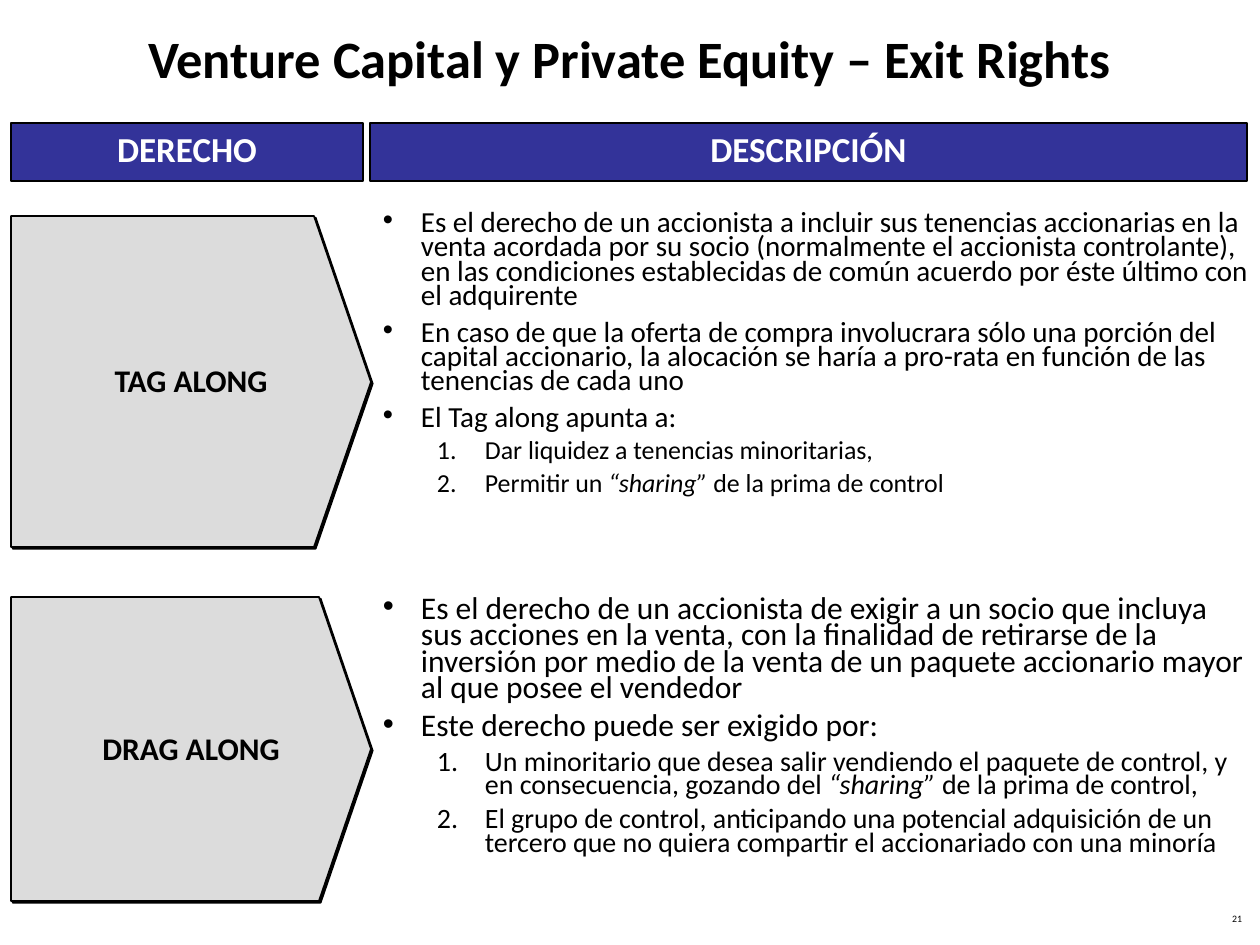
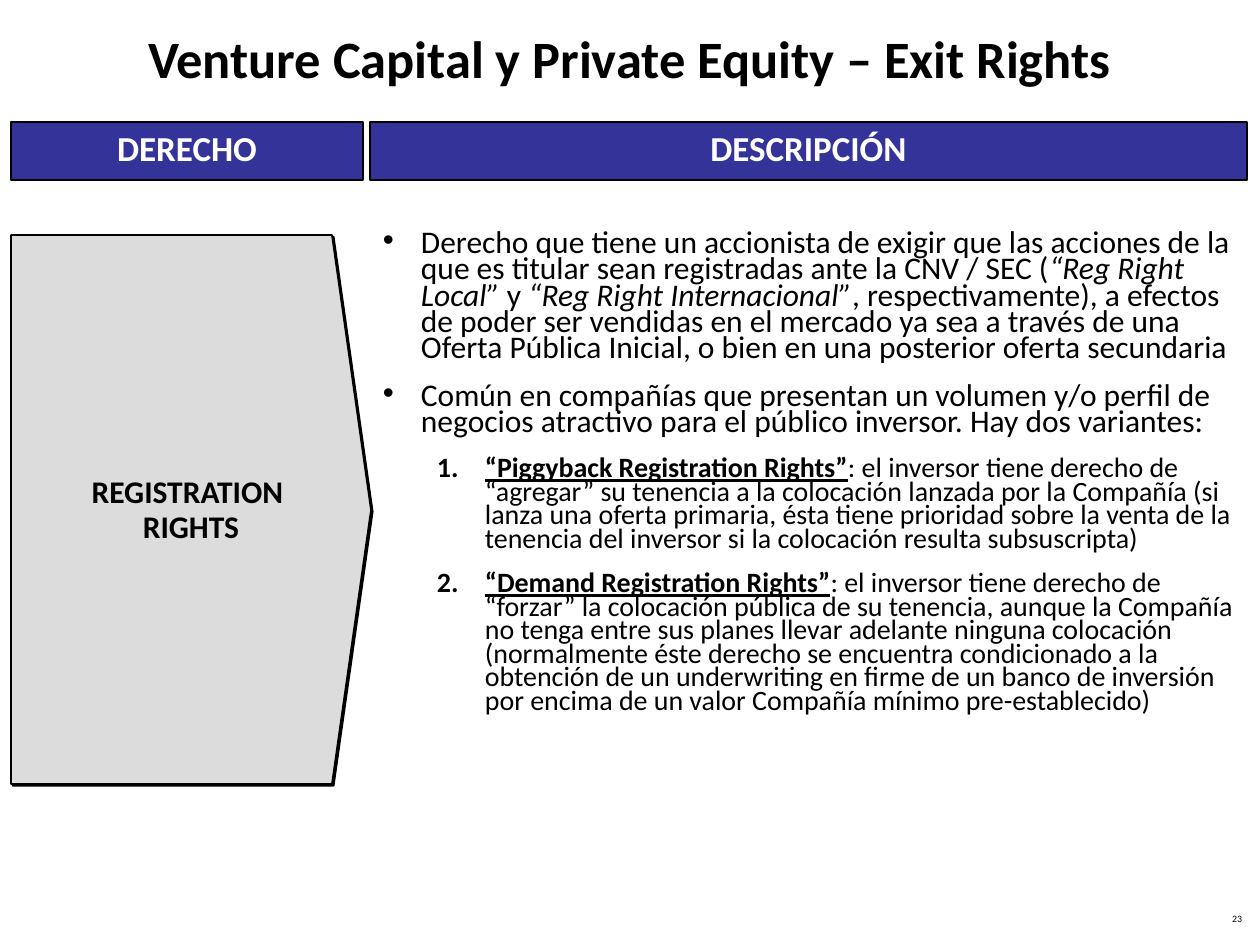
from dataclasses import dataclass

from lxml import etree
from pptx import Presentation
from pptx.dml.color import RGBColor
from pptx.enum.shapes import MSO_SHAPE
from pptx.enum.text import MSO_ANCHOR, PP_ALIGN
from pptx.oxml.ns import qn
from pptx.util import Emu, Pt

RECTANGLE = MSO_SHAPE.RECTANGLE
TOP, MIDDLE = MSO_ANCHOR.TOP, MSO_ANCHOR.MIDDLE
LEFT, CENTER, RIGHT = PP_ALIGN.LEFT, PP_ALIGN.CENTER, PP_ALIGN.RIGHT

# Shared look
FONT = "Calibri"
BLACK, WHITE, NAVY, GRAY = "000000", "FFFFFF", "333399", "DCDCDC"
EMU_PER_PX = 914400 / 126
SLIDE_WIDTH, SLIDE_HEIGHT = 1260, 945
TITLE = "Venture Capital y Private Equity – Exit Rights"

# Shared columns: (left, width, heading)
LABEL_LEFT, LABEL_WIDTH = 11, 360
TEXT_LEFT, TEXT_WIDTH = 370, 896
HEADINGS = [(LABEL_LEFT, 352, "DERECHO"), (TEXT_LEFT, 877, "DESCRIPCIÓN")]
HEADING_HEIGHT = 58

SPAN_FORMATS = {
    "plain": {},
    "italic": {"italic": True},
    "term": {"bold": True, "underline": True},
}


@dataclass(frozen=True)
class Span:
    text: str
    style: str = "plain"


@dataclass(frozen=True)
class Item:
    spans: list[Span]
    numbered: bool = False


@dataclass(frozen=True)
class Right:
    label: list[str]
    label_top: int
    label_height: int
    shoulder: int
    text_top: int
    text_height: int
    sizes: tuple[float, float]
    gaps: tuple[float, float]
    items: list[Item]


@dataclass(frozen=True)
class Page:
    number: str
    heading_top: int
    rights: list[Right]


def px(value: float) -> Emu:
    return Emu(round(value * EMU_PER_PX))


def color(hex_value: str) -> RGBColor:
    return RGBColor.from_string(hex_value)


def bullet(text: str) -> Item:
    return Item([Span(text)])


def numbered(*spans: Span) -> Item:
    return Item(list(spans), numbered=True)


# Drawing helpers
def prepare_frame(shape, anchor, side_inset: int = 13):
    frame = shape.text_frame
    formats = {
        "word_wrap": True, "vertical_anchor": anchor,
        "margin_left": px(side_inset), "margin_right": px(side_inset),
        "margin_top": px(6), "margin_bottom": px(6),
    }
    for name, value in formats.items():
        setattr(frame, name, value)
    return frame


def next_paragraph(frame, index: int):
    return frame.paragraphs[0] if index == 0 else frame.add_paragraph()


def add_run(paragraph, text: str, size: float, hex_color: str = BLACK, **formats) -> None:
    run = paragraph.add_run()
    run.text = text
    run.font.color.rgb = color(hex_color)
    for name, value in {"name": FONT, "size": Pt(size), **formats}.items():
        setattr(run.font, name, value)


def write_lines(frame, lines: list[str], size: float, alignment, spacing,
                hex_color: str = BLACK, bold: bool = True) -> None:
    for index, line in enumerate(lines):
        paragraph = next_paragraph(frame, index)
        paragraph.alignment = alignment
        paragraph.line_spacing = spacing
        add_run(paragraph, line, size, hex_color, bold=bold)


def paint(shape, fill: str, line_width: float) -> None:
    shape.shadow.inherit = False
    shape.fill.solid()
    shape.fill.fore_color.rgb = color(fill)
    shape.line.color.rgb = color(BLACK)
    shape.line.width = Pt(line_width)


def add_text_box(slide, left: int, top: int, width: int, height: int, anchor):
    shape = slide.shapes.add_textbox(px(left), px(top), px(width), px(height))
    return prepare_frame(shape, anchor)


def add_heading(slide, left: int, top: int, width: int, text: str) -> None:
    shape = slide.shapes.add_shape(
        RECTANGLE, px(left), px(top), px(width), px(HEADING_HEIGHT))
    paint(shape, NAVY, 0.75)
    write_lines(prepare_frame(shape, MIDDLE), [text], 20, CENTER, Pt(20), WHITE)


def add_hard_shadow(shape) -> None:
    effects = shape._element.spPr.find(qn("a:effectLst"))
    shadow = etree.SubElement(effects, qn("a:outerShdw"), blurRad="0",
                              dist=str(Pt(1.4)), dir="2700000", algn="ctr", rotWithShape="0")
    etree.SubElement(shadow, qn("a:srgbClr"), val=BLACK)


def add_label(slide, right: Right) -> None:
    top, bottom = right.label_top, right.label_top + right.label_height
    tip = (LABEL_LEFT + LABEL_WIDTH, (top + bottom) / 2)
    outline = [(right.shoulder, top), tip, (right.shoulder, bottom), (LABEL_LEFT, bottom)]
    builder = slide.shapes.build_freeform(LABEL_LEFT, top, scale=EMU_PER_PX)
    builder.add_line_segments(outline, close=True)
    shape = builder.convert_to_shape()
    paint(shape, GRAY, 1)
    add_hard_shadow(shape)
    write_lines(prepare_frame(shape, MIDDLE, 0), right.label, 18, CENTER, Pt(20))


def add_marker(paragraph, is_numbered: bool) -> None:
    margin, indent = (102, -48) if is_numbered else (38, -38)
    properties = paragraph._p.get_or_add_pPr()
    properties.set("marL", str(px(margin)))
    properties.set("indent", str(px(indent)))
    marker_color = etree.SubElement(properties, qn("a:buClr"))
    etree.SubElement(marker_color, qn("a:srgbClr"), val=BLACK)
    if is_numbered:
        etree.SubElement(properties, qn("a:buFont"), typeface=FONT)
        etree.SubElement(properties, qn("a:buAutoNum"), type="arabicPeriod")
    else:
        etree.SubElement(properties, qn("a:buFont"), typeface="Arial")
        etree.SubElement(properties, qn("a:buChar"), char="•")


def add_description(slide, right: Right) -> None:
    frame = add_text_box(
        slide, TEXT_LEFT, right.text_top, TEXT_WIDTH, right.text_height, TOP)
    for index, item in enumerate(right.items):
        paragraph = next_paragraph(frame, index)
        add_marker(paragraph, item.numbered)
        level = int(item.numbered)
        formats = {
            "level": level, "alignment": LEFT, "line_spacing": 0.7,
            "space_before": Pt(right.gaps[level] if index else 0),
        }
        for name, value in formats.items():
            setattr(paragraph, name, value)
        for span in item.spans:
            add_run(paragraph, span.text, right.sizes[level], **SPAN_FORMATS[span.style])


def add_page(presentation, page: Page) -> None:
    slide = presentation.slides.add_slide(presentation.slide_layouts[6])
    number_frame = add_text_box(slide, 961, 910, 294, 26, TOP)
    write_lines(number_frame, [page.number], 5.6, RIGHT, 0.8, bold=False)
    title_frame = add_text_box(slide, 0, 0, SLIDE_WIDTH, 115, MIDDLE)
    write_lines(title_frame, [TITLE], 30, CENTER, 1.0)
    for left, width, text in HEADINGS:
        add_heading(slide, left, page.heading_top, width, text)
    for right in page.rights:
        add_description(slide, right)
        add_label(slide, right)


# Content
TAG_ALONG = Right(
    ["TAG ALONG"], label_top=216, label_height=331, shoulder=314,
    text_top=207, text_height=304, sizes=(16.6, 14.8), gaps=(6.8, 6),
    items=[
        bullet("Es el derecho de un accionista a incluir sus tenencias accionarias en la "
               "venta acordada por su socio (normalmente el accionista controlante), en las "
               "condiciones establecidas de común acuerdo por éste último con el adquirente"),
        bullet("En caso de que la oferta de compra involucrara sólo una porción del capital "
               "accionario, la alocación se haría a pro-rata en función de las tenencias de "
               "cada uno"),
        bullet("El Tag along apunta a:"),
        numbered(Span("Dar liquidez a tenencias minoritarias,")),
        numbered(Span("Permitir un "), Span("“sharing”", "italic"),
                 Span(" de la prima de control")),
    ])

DRAG_ALONG = Right(
    ["DRAG ALONG"], label_top=597, label_height=304, shoulder=319,
    text_top=592, text_height=304, sizes=(18, 16), gaps=(6.8, 6),
    items=[
        bullet("Es el derecho de un accionista de exigir a un socio que incluya sus acciones "
               "en la venta, con la finalidad de retirarse de la inversión por medio de la "
               "venta de un paquete accionario mayor al que posee el vendedor"),
        bullet("Este derecho puede ser exigido por:"),
        numbered(Span("Un minoritario que desea salir vendiendo el paquete de control, y en "
                      "consecuencia, gozando del "),
                 Span("“sharing”", "italic"), Span(" de la prima de control,")),
        numbered(Span("El grupo de control, anticipando una potencial adquisición de un "
                      "tercero que no quiera compartir el accionariado con una minoría")),
    ])

REGISTRATION = Right(
    ["REGISTRATION ", "RIGHTS"], label_top=235, label_height=549, shoulder=332,
    text_top=226, text_height=517, sizes=(18, 16), gaps=(12, 12),
    items=[
        Item([
            Span("Derecho que tiene un accionista de exigir que las acciones de la que es "
                 "titular sean registradas ante la CNV / SEC ("),
            Span("“Reg Right Local”", "italic"), Span(" y "),
            Span("“Reg Right Internacional”", "italic"),
            Span(", respectivamente), a efectos de poder ser vendidas en el mercado ya sea a "
                 "través de una Oferta Pública Inicial, o bien en una posterior oferta "
                 "secundaria"),
        ]),
        bullet("Común en compañías que presentan un volumen y/o perfil de negocios atractivo "
               "para el público inversor. Hay dos variantes:"),
        numbered(Span("“Piggyback Registration Rights”", "term"),
                 Span(": el inversor tiene derecho de “agregar” su tenencia a la colocación "
                      "lanzada por la Compañía (si lanza una oferta primaria, ésta tiene "
                      "prioridad sobre la venta de la tenencia del inversor si la colocación "
                      "resulta subsuscripta)")),
        numbered(Span("“Demand Registration Rights”", "term"),
                 Span(": el inversor tiene derecho de “forzar” la colocación pública de su "
                      "tenencia, aunque la Compañía no tenga entre sus planes llevar adelante "
                      "ninguna colocación (normalmente éste derecho se encuentra condicionado "
                      "a la obtención de un underwriting en firme de un banco de inversión por "
                      "encima de un valor Compañía mínimo pre-establecido)")),
    ])

PAGES = [
    Page("21", heading_top=123, rights=[TAG_ALONG, DRAG_ALONG]),
    Page("23", heading_top=122, rights=[REGISTRATION]),
]


def main() -> None:
    presentation = Presentation()
    presentation.slide_width = px(SLIDE_WIDTH)
    presentation.slide_height = px(SLIDE_HEIGHT)
    for page in PAGES:
        add_page(presentation, page)
    presentation.save("out.pptx")


if __name__ == "__main__":
    main()
